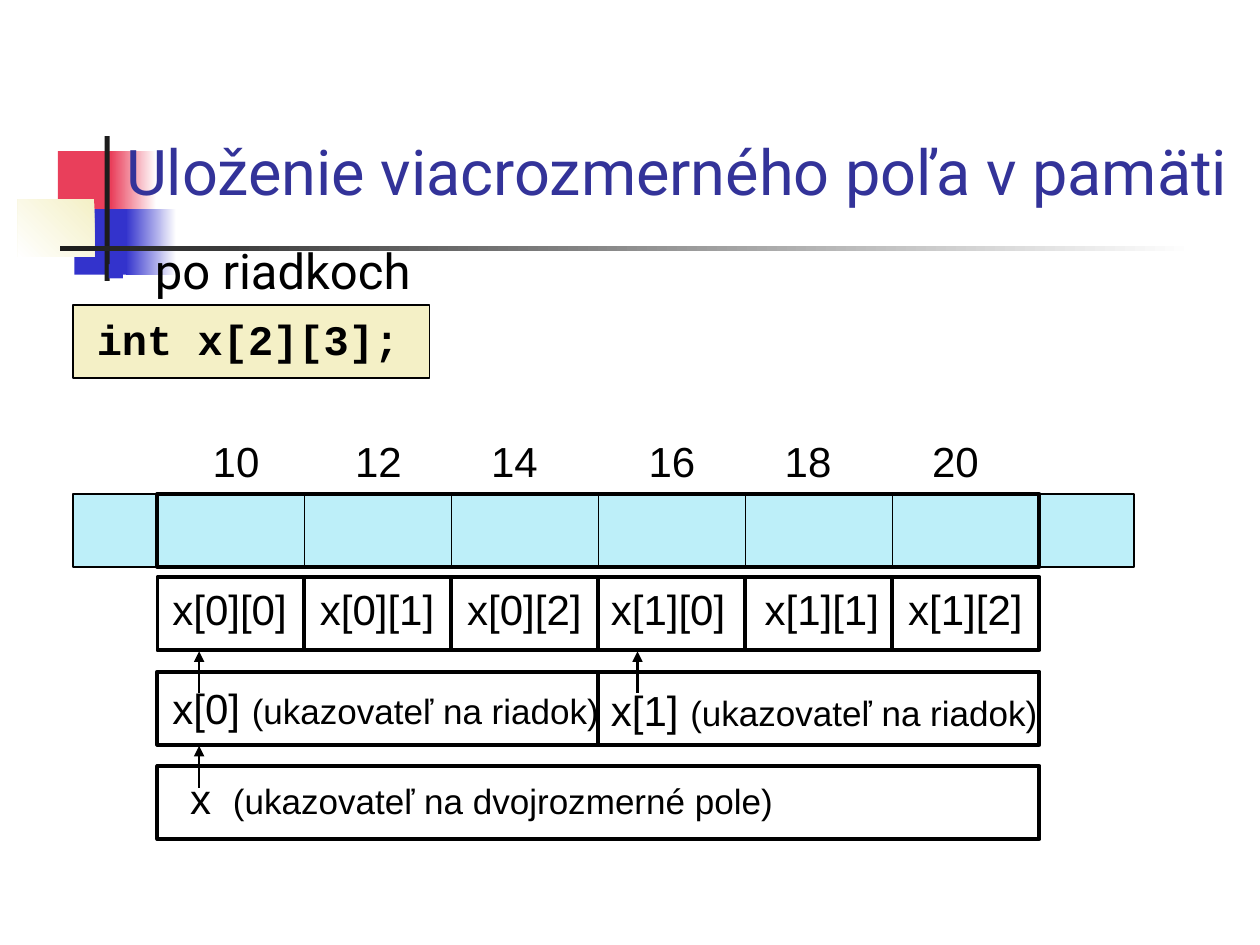
from lxml import etree
from pptx import Presentation
from pptx import util as u
from pptx.dml.color import RGBColor
from pptx.enum import shapes, text
from pptx.oxml.ns import qn

BLACK = RGBColor(0x00, 0x00, 0x00)
WHITE = RGBColor(0xFF, 0xFF, 0xFF)
INK = RGBColor(0x1C, 0x1C, 0x1C)
RED = RGBColor(0xE9, 0x3F, 0x5B)
BLUE = RGBColor(0x33, 0x33, 0xCC)
TITLE_BLUE = RGBColor(0x33, 0x33, 0x99)
CREAM = RGBColor(0xF4, 0xF0, 0xC6)
MEMORY = RGBColor(0xBD, 0xEF, 0xF9)

# Memory grid: six cells of equal width, rows of equal height
LEFT, COLUMNS, CELL_W, ROW_H = 1.25, 6, 7 / 6, 0.58
MEMORY_Y, ELEMENTS_Y, ROWS_Y, ARRAY_Y = 3.92, 4.58, 5.33, 6.08
LABEL_H = 0.5


def column_x(column):
    return LEFT + column * CELL_W


def add_box(slide, x, y, w, h, fill=None, line=None, fade=None, angle=0):
    """Rectangle with a plain fill, a fade to a second colour, or no fill."""
    box = slide.shapes.add_shape(shapes.MSO_SHAPE.RECTANGLE,
                                 *map(u.Inches, (x, y, w, h)))
    box.shadow.inherit = False
    if fade is not None:
        box.fill.gradient()
        box.fill.gradient_angle = angle
        for stop, colour in zip(box.fill.gradient_stops, (fill, fade)):
            stop.color.rgb = colour
    elif fill is not None:
        box.fill.solid()
        box.fill.fore_color.rgb = fill
    else:
        box.fill.background()
    if line:
        box.line.color.rgb = BLACK
        box.line.width = u.Pt(line)
    else:
        box.line.fill.background()
    return box


def add_cell(slide, column, y, span=1):
    return add_box(slide, column_x(column), y, span * CELL_W, ROW_H, line=2.25)


def add_label(parent, x, y, w, label, note="", font="Arial", bold=False, tab=None):
    """One-line label, with an optional smaller note after it."""
    box = parent.shapes.add_textbox(*map(u.Inches, (x, y, w, LABEL_H)))
    box.text_frame.word_wrap = False
    box.text_frame.auto_size = text.MSO_AUTO_SIZE.SHAPE_TO_FIT_TEXT
    paragraph = box.text_frame.paragraphs[0]
    if tab:
        stops = etree.SubElement(paragraph._p.get_or_add_pPr(), qn("a:tabLst"))
        etree.SubElement(stops, qn("a:tab"), pos=str(u.Inches(tab)), algn="l")
    paragraph.font.name = font
    paragraph.font.bold = bold
    paragraph.font.color.rgb = BLACK
    for words, size in ((label, 24), (note, 20)):
        if words:
            run = paragraph.add_run()
            run.text = words
            run.font.size = u.Pt(size)


def add_line(parent, x, y1, y2, width, arrow=False):
    line = parent.shapes.add_connector(shapes.MSO_CONNECTOR.STRAIGHT,
                                       *map(u.Inches, (x, y1, x, y2)))
    line.line.color.rgb = BLACK
    line.line.width = u.Pt(width)
    if arrow:
        etree.SubElement(line.line._get_or_add_ln(), qn("a:tailEnd"), type="triangle")
    etree.SubElement(line._element.spPr, qn("a:effectLst"))
    return line


def add_pointer(slide, label_x, label_y, w, arrow_x, row_y, label, note, tab=None):
    """Labelled pointer whose arrow reaches up to the row above."""
    pointer = slide.shapes.add_group_shape()
    add_label(pointer, label_x, label_y, w, label, note, tab=tab)
    add_line(pointer, arrow_x, row_y + 0.17, row_y - 0.16, 1.5, arrow=True)


def fill_placeholder(slide, holder, x, y, w, h, words, size, colour, bullet=None):
    """Place a template placeholder in front of what is already drawn."""
    slide.shapes._spTree.append(holder._element)
    holder.left, holder.top, holder.width, holder.height = map(u.Inches, (x, y, w, h))
    frame = holder.text_frame
    frame.text = words
    frame.auto_size = text.MSO_AUTO_SIZE.NONE
    paragraph = frame.paragraphs[0]
    paragraph.alignment = text.PP_ALIGN.LEFT
    paragraph.space_before = u.Pt(0)
    if bullet is not None:
        props = paragraph._p.get_or_add_pPr()
        props.set("marL", str(u.Inches(0.38)))
        props.set("indent", str(u.Inches(-0.38)))
        colour_el = etree.SubElement(props, qn("a:buClr"))
        etree.SubElement(colour_el, qn("a:srgbClr"), val=str(bullet))
        etree.SubElement(props, qn("a:buSzPct"), val="60000")
        etree.SubElement(props, qn("a:buChar"), char="■")
    paragraph.font.name = "Roboto"
    paragraph.font.size = u.Pt(size)
    paragraph.font.color.rgb = colour
    return frame


def add_ornament(slide):
    add_box(slide, 0.46, 1.2, 0.48, 0.52, RED)
    add_box(slide, 0.88, 1.2, 0.36, 0.52, WHITE, fade=RED, angle=180)
    add_box(slide, 0.59, 1.66, 0.46, 0.52, BLUE)
    add_box(slide, 1, 1.66, 0.4, 0.52, WHITE, fade=BLUE, angle=180)
    add_box(slide, 0.14, 1.58, 0.61, 0.46, CREAM, fade=WHITE, angle=225)
    add_box(slide, 0.83, 1.08, 0.04, 1.15, INK)
    add_box(slide, 0.48, 1.95, 9, 0.04, WHITE, fade=INK, angle=180)


def add_memory(slide):
    add_box(slide, 0.58, MEMORY_Y, 8.42, ROW_H, MEMORY, line=0.75)
    array_outline = add_cell(slide, 0, MEMORY_Y, COLUMNS)
    for column in range(1, COLUMNS):
        divider = add_line(slide, column_x(column), MEMORY_Y, MEMORY_Y + ROW_H, 0.75)
        if column == COLUMNS // 2:
            divider.begin_connect(array_outline, 0)
            divider.end_connect(array_outline, 2)
    for address, x in zip(range(10, 22, 2), (1.59, 2.72, 3.8, 5.05, 6.13, 7.3)):
        add_label(slide, x, 3.41, 0.57, str(address))


def add_elements(slide):
    label_lefts = (1.27, 2.44, 3.61, 4.75, 5.97, 7.11)
    for column, x in enumerate(label_lefts):
        row, index = divmod(column, 3)
        add_cell(slide, column, ELEMENTS_Y)
        add_label(slide, x, ELEMENTS_Y, 1.11, f"x[{row}][{index}]")


def main():
    prs = Presentation()
    prs.slide_width, prs.slide_height = u.Inches(10), u.Inches(7.5)
    slide = prs.slides.add_slide(prs.slide_layouts[1])
    title, body = slide.placeholders

    # Heading
    add_ornament(slide)
    heading = fill_placeholder(slide, title, 0.9, 0.67, 9.1, 1.03,
                               "Uloženie viacrozmerného poľa v pamäti", 36, TITLE_BLUE)
    heading.vertical_anchor = text.MSO_ANCHOR.BOTTOM
    fill_placeholder(slide, body, 0.75, 1.86, 9.09, 0.71,
                     "po riadkoch", 28, BLACK, bullet=BLUE)

    # Declaration
    add_box(slide, 0.58, 2.42, 2.83, ROW_H, CREAM, line=0.75)
    add_label(slide, 0.67, 2.44, 2.6, "int x[2][3];", font="Courier New", bold=True)

    # Memory and the array elements
    add_memory(slide)
    add_elements(slide)

    # Pointers to the rows and to the whole array
    for column in (0, 3):
        add_cell(slide, column, ROWS_Y, 3)
    add_cell(slide, 0, ARRAY_Y, COLUMNS)
    row_note = "(ukazovateľ na riadok)"
    add_pointer(slide, 1.27, 5.37, 3.65, 1.58, ROWS_Y, "x[0] ", row_note)
    add_pointer(slide, 4.75, 5.38, 3.65, 5.06, ROWS_Y, "x[1] ", row_note)
    add_pointer(slide, 1.41, 6.08, 4.95, 1.58, ARRAY_Y, "x\t",
                "(ukazovateľ na dvojrozmerné pole)", tab=0.34)

    prs.save("out.pptx")


if __name__ == "__main__":
    main()
